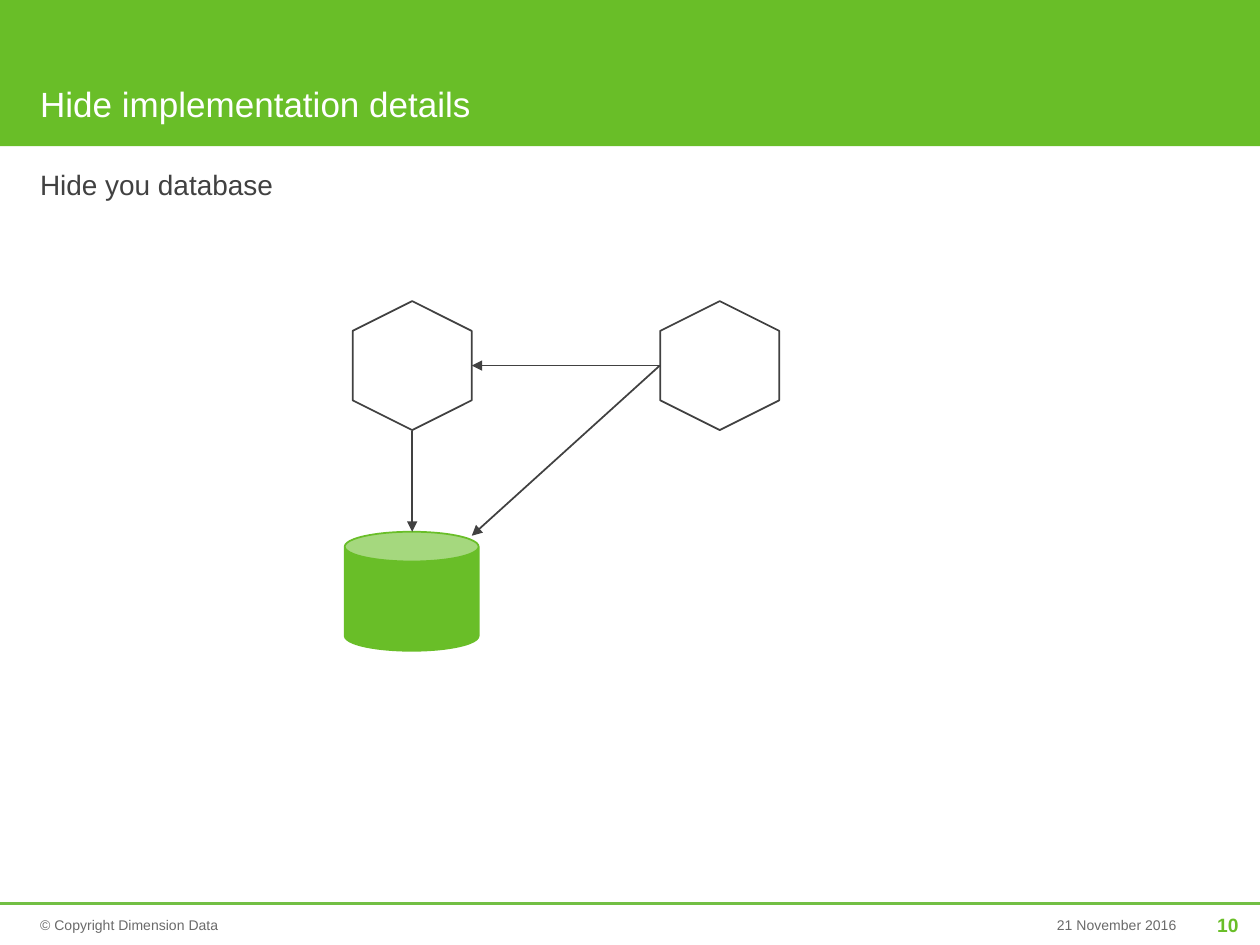
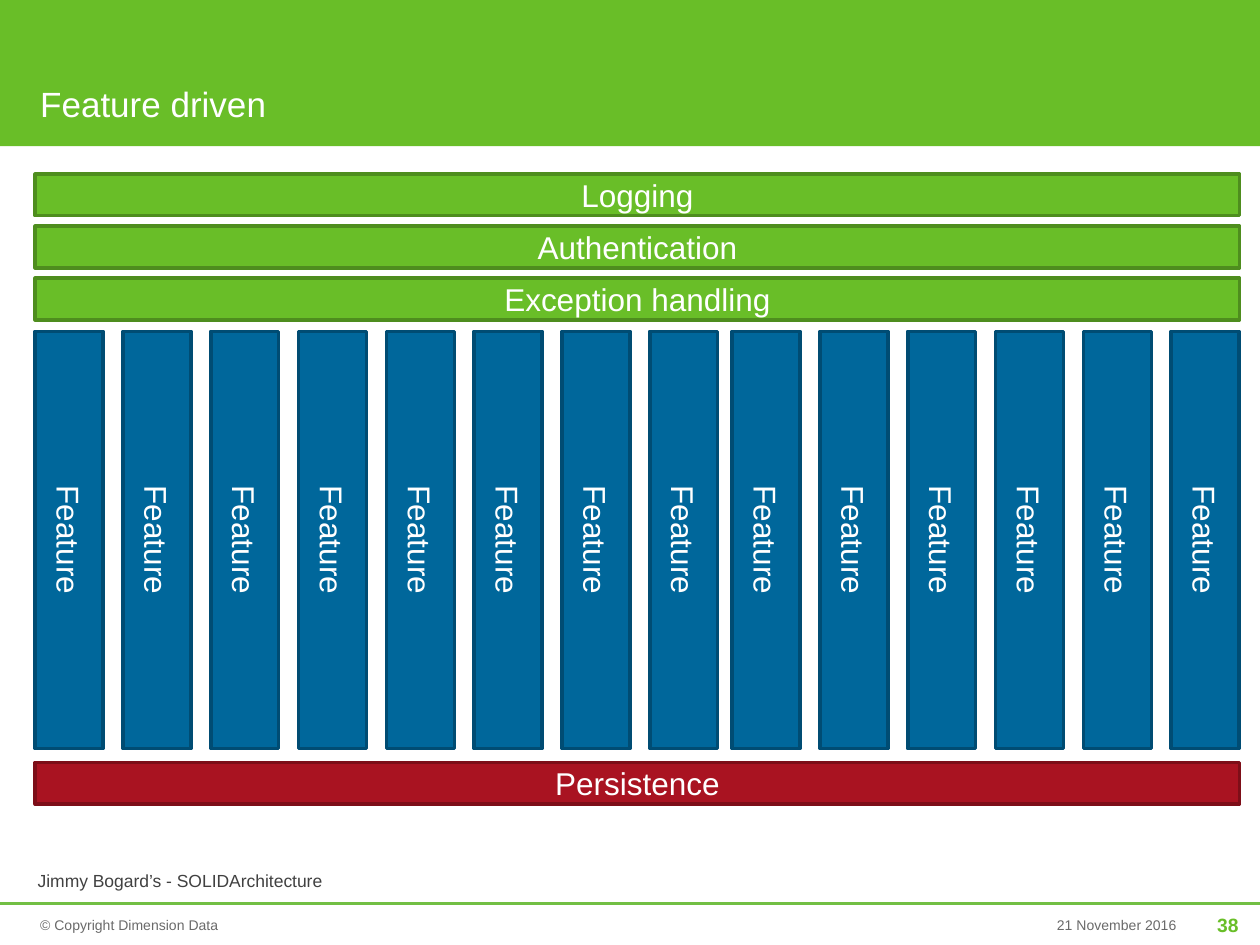
from pptx import Presentation, util as u
from pptx.dml import color
from pptx.enum import shapes, text
from pptx.oxml import ns, xmlchemy

hue = color.RGBColor.from_string
cm = u.Cm
kind = shapes.MSO_SHAPE
side = text.PP_ALIGN
GREEN, DARK, GREY, WHITE = "69BE28", "414141", "6A6A6A", "FFFFFF"


def write(box, words, size, col, align=side.LEFT, anchor=text.MSO_ANCHOR.MIDDLE,
          space=1.0, inset=0.0):
    frame = box.text_frame
    frame.text = words
    frame.word_wrap = True
    frame.auto_size = text.MSO_AUTO_SIZE.NONE
    frame.vertical_anchor = anchor
    frame.margin_left = frame.margin_right = cm(inset)
    frame.margin_top = frame.margin_bottom = cm(inset / 2)
    para = frame.paragraphs[0]
    para.alignment = align
    para.line_spacing = space
    para.space_before = u.Pt(0)
    para.font.name = "Arial"
    para.font.size = u.Pt(size)
    para.font.color.rgb = hue(col)
    return para


def link(page, ends, col, width, arrow=False):
    line = page.shapes.add_connector(shapes.MSO_CONNECTOR.STRAIGHT, *map(cm, ends))
    line.line.color.rgb = hue(col)
    line.line.width = u.Pt(width)
    props = line.element.spPr
    if arrow:
        tail = xmlchemy.OxmlElement("a:tailEnd")
        tail.set("type", "triangle")
        props.find(ns.qn("a:ln")).append(tail)
    props.append(xmlchemy.OxmlElement("a:effectLst"))


deck = Presentation()
deck.slide_width, deck.slide_height = cm(25.4), cm(19.05)
pages = []

for name, num in [("Hide implementation details", "10"), ("Feature driven", "38")]:
    page = deck.slides.add_slide(deck.slide_layouts[5])
    pages.append(page)

    band = page.shapes.add_shape(kind.RECTANGLE, 0, 0, deck.slide_width, cm(2.95))
    band.shadow.inherit = False
    band.fill.solid()
    band.fill.fore_color.rgb = hue(GREEN)
    band.line.fill.background()
    page.shapes.element.insert(2, band.element)

    title = page.shapes.title
    title.left, title.top, title.width, title.height = map(cm, (0.81, 0.2, 17.8, 2.32))
    write(title, name, 20, WHITE, anchor=text.MSO_ANCHOR.BOTTOM, space=1.2)

    for words, left, width, size, col, align in [
        ("© Copyright Dimension Data", 0.81, 11.9, 8, GREY, side.LEFT),
        ("21 November 2016", 19.05, 4.67, 8, GREY, side.RIGHT),
        (num, 23.93, 1.04, 11, GREEN, side.RIGHT),
    ]:
        foot = page.shapes.add_textbox(cm(left), cm(18.21), cm(width), cm(0.84))
        para = write(foot, words, size, col, align, space=1.1)
        para.font.bold = words == num
    link(page, (0, 18.21, 25.4, 18.21), "72BF44", 1.5)

hide, drive = pages

body = hide.shapes.add_textbox(cm(0.81), cm(3.28), cm(23.75), cm(12.93))
write(body, "Hide you database", 16, DARK, anchor=text.MSO_ANCHOR.TOP, space=1.14)

for left in (7.01, 13.21):
    hexa = hide.shapes.add_shape(kind.HEXAGON, cm(left), cm(6.17), cm(2.6), cm(2.4))
    hexa.rotation = 270
    hexa.shadow.inherit = False
    hexa.fill.background()
    hexa.line.color.rgb = hue(DARK)
    hexa.line.width = u.Pt(1)

store = hide.shapes.add_shape(kind.CAN, cm(6.95), cm(10.72), cm(2.7), cm(2.4))
store.shadow.inherit = False
store.fill.solid()
store.fill.fore_color.rgb = hue(GREEN)
store.line.color.rgb = hue(GREEN)
store.line.width = u.Pt(1)

for ends in [(8.31, 8.68, 8.31, 10.72), (13.3, 7.37, 9.51, 10.8), (13.3, 7.37, 9.51, 7.37)]:
    link(hide, ends, DARK, 1, True)

bars = [(words, 0.71, 3.51 + 1.05 * i, 24.28, 0.84, GREEN, "4E8D1E")
        for i, words in enumerate(["Logging", "Authentication", "Exception handling"])]
bars += [("Feature", 0.71 + 1.77 * i - (0.11 if i > 7 else 0), 6.68, 1.37, 8.41,
          "00679B", "004C73") for i in range(14)]
bars.append(("Persistence", 0.71, 15.37, 24.28, 0.84, "A91321", "7D0E18"))

for words, left, top, width, height, fill, edge in bars:
    bar = drive.shapes.add_shape(kind.RECTANGLE, *map(cm, (left, top, width, height)))
    bar.shadow.inherit = False
    bar.fill.solid()
    bar.fill.fore_color.rgb = hue(fill)
    bar.line.color.rgb = hue(edge)
    bar.line.width = u.Pt(2)
    write(bar, words, 18, WHITE, side.CENTER, inset=0.25)
    if height > width:
        bar.text_frame._txBody.bodyPr.set("vert", "vert")

note = drive.shapes.add_textbox(cm(0.51), cm(17.42), cm(6.32), cm(0.69))
write(note, "Jimmy Bogard’s - SOLIDArchitecture", 10, DARK,
      anchor=text.MSO_ANCHOR.TOP, inset=0.25)
note.text_frame.word_wrap = False

deck.save("out.pptx")
